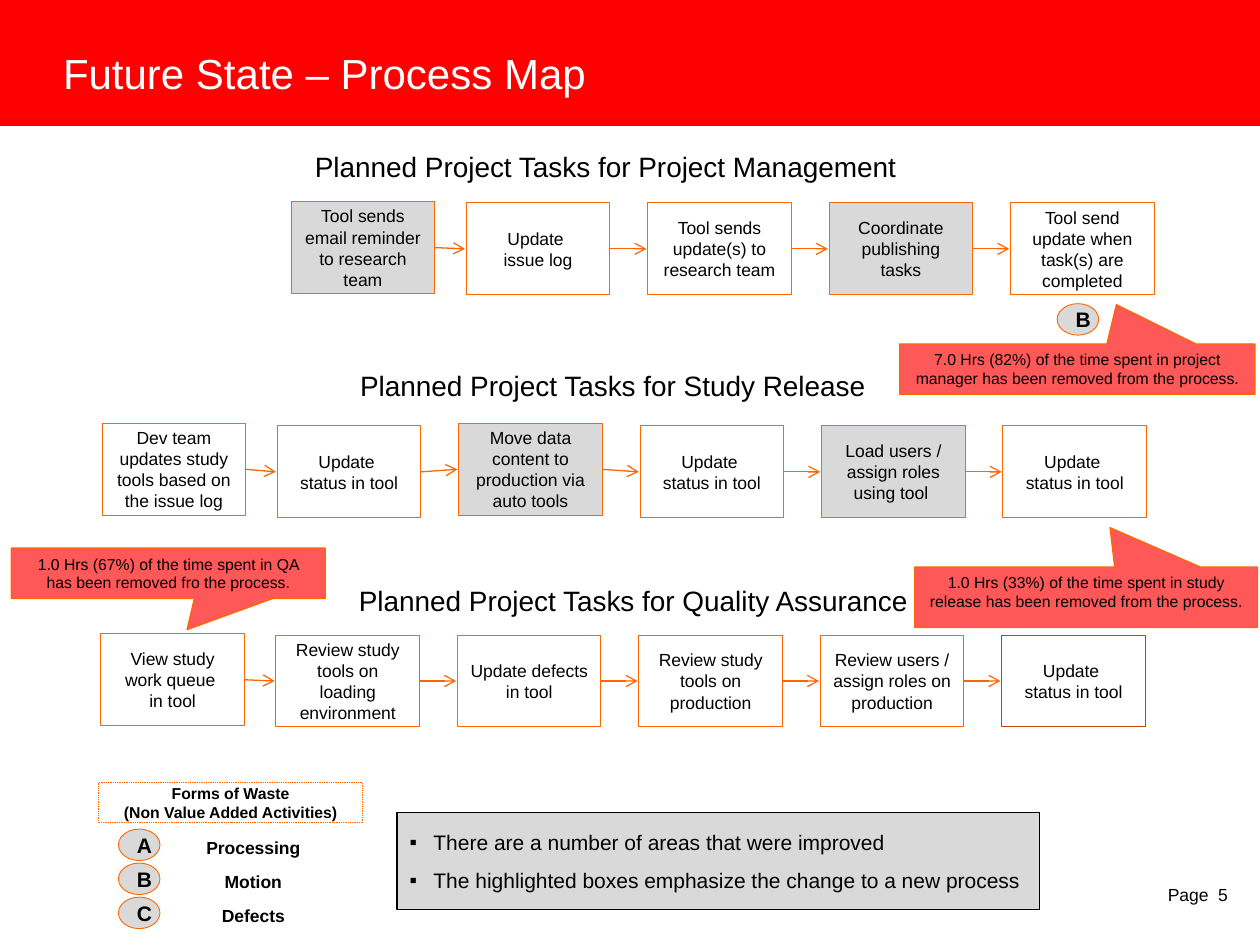
from lxml.etree import SubElement
from pptx import Presentation
from pptx.dml.color import RGBColor
from pptx.enum.dml import MSO_LINE
from pptx.enum.shapes import MSO_CONNECTOR, MSO_SHAPE
from pptx.enum.text import MSO_ANCHOR, MSO_AUTO_SIZE, PP_ALIGN
from pptx.oxml.ns import qn
from pptx.util import Inches, Pt

RED = RGBColor(0xFF, 0x00, 0x00)
SALMON = RGBColor(0xFF, 0x58, 0x58)
ORANGE = RGBColor(0xFF, 0x66, 0x00)
BROWN = RGBColor(0xBC, 0x49, 0x00)
GRAY = RGBColor(0xD9, 0xD9, 0xD9)
BLACK = RGBColor(0x00, 0x00, 0x00)
WHITE = RGBColor(0xFF, 0xFF, 0xFF)

BOX_W, BOX_H = 1.14, 0.73
FIRST_STEP, STEP = 1.39, 1.44
TIP_GAP = 0.01

# Heading, its position, left and top of the row, lift of raised boxes,
# raised columns, highlighted columns, colour of the last edge, tasks.
# "\n" starts a paragraph, "\v" breaks a line.
ROWS = [
    ("Planned Project Tasks for Project Management", (2.4, 1.14, 4.84, 0.37),
     2.31, 1.61, 0.01, {0}, {0, 3}, ORANGE,
     ["Tool sends email reminder to research team",
      "Update \nissue log",
      "Tool sends update(s) to research team",
      "Coordinate publishing tasks",
      "Tool send update when task(s) are completed"]),
    ("Planned Project Tasks for Study Release", (2.76, 2.88, 4.24, 0.37),
     0.81, 3.38, 0.02, {0, 2}, {2, 4}, ORANGE,
     ["Dev team updates study tools based on the issue log",
      "Update \nstatus in tool",
      "Move data content to production via auto tools",
      "Update \vstatus in tool",
      "Load users / assign roles using tool ",
      "Update \vstatus in tool"]),
    ("Planned Project Tasks for Quality Assurance", (2.75, 4.58, 4.6, 0.37),
     0.8, 5.04, 0.01, {0}, set(), BROWN,
     ["View study work queue \vin tool",
      "Review study tools on loading environment",
      "Update defects in tool",
      "Review study tools on production",
      "Review users / assign roles on production",
      "Update \vstatus in tool"]),
]

CALLOUTS = [
    ((7.14, 2.73, 2.82, 0.4), (0.11, -1.28),
     "7.0 Hrs (82%) of the time spent in project manager has been removed from the process."),
    ((7.26, 4.5, 2.72, 0.48), (0.07, -1.15),
     "1.0 Hrs (33%) of the time spent in study release has been removed from the process."),
    ((0.09, 4.35, 2.49, 0.4), (0.06, 1.12),
     "1.0 Hrs (67%) of the time spent in QA has been removed fro the process."),
]

WASTES = [("A", "Processing"), ("B", "Motion"), ("C", "Defects")]


def write(shape, text, size=10, bold=False, color=BLACK, align=PP_ALIGN.CENTER,
          anchor=MSO_ANCHOR.MIDDLE, wrap=True, before=0, after=0, inset=(0.1, 0.05)):
    tf = shape.text_frame
    tf.text = text
    tf.auto_size = MSO_AUTO_SIZE.NONE
    tf.word_wrap, tf.vertical_anchor = wrap, anchor
    tf.margin_left = tf.margin_right = Inches(inset[0])
    tf.margin_top = tf.margin_bottom = Inches(inset[1])
    for p in tf.paragraphs:
        p.alignment = align
        p.space_before, p.space_after = Pt(before), Pt(after)
        for r in p.runs:
            r.font.name, r.font.size, r.font.bold = "Arial", Pt(size), bold
            r.font.color.rgb = color
        for br in p._p.findall(qn("a:br")):
            SubElement(br, qn("a:rPr"), sz=str(size * 100))


def place(shape, at):
    shape.left, shape.top, shape.width, shape.height = map(Inches, at)


def paint(shape, fill=None, edge=None, weight=0.5):
    if fill is None:
        shape.fill.background()
    else:
        shape.fill.solid()
        shape.fill.fore_color.rgb = fill
    if edge is None:
        shape.line.fill.background()
    else:
        shape.line.color.rgb = edge
        shape.line.width = Pt(weight)


def add_block(s, kind, at, **look):
    sp = s.shapes.add_shape(kind, *map(Inches, at))
    sp.shadow.inherit = False
    paint(sp, **look)
    return sp


def add_label(s, at, text, **fmt):
    write(s.shapes.add_textbox(*map(Inches, at)), text, **fmt)


def add_arrow(s, x1, y1, x2, y2):
    c = s.shapes.add_connector(MSO_CONNECTOR.STRAIGHT, *map(Inches, (x1, y1, x2, y2)))
    c.line.color.rgb = ORANGE
    c.line.width = Pt(0.75)
    SubElement(c.line._get_or_add_ln(), qn("a:tailEnd"), type="arrow")
    SubElement(c._element.spPr, qn("a:effectLst"))


def add_process_row(s, heading, heading_at, left, top, lift, raised, marked, last_edge, tasks):
    add_label(s, heading_at, heading, size=16, align=PP_ALIGN.LEFT,
              anchor=MSO_ANCHOR.TOP, wrap=False)
    xs = [left] + [left + FIRST_STEP + STEP * i for i in range(len(tasks) - 1)]
    ys = [top - lift * (i in raised) for i in range(len(tasks))]
    for i, (x, y, task) in enumerate(zip(xs, ys, tasks)):
        is_last = i == len(tasks) - 1
        box = add_block(s, MSO_SHAPE.RECTANGLE, (x, y, BOX_W, BOX_H),
                        fill=GRAY if i in marked else None,
                        edge=last_edge if is_last else ORANGE)
        write(box, task)
        if not is_last:
            add_arrow(s, x + BOX_W, y + BOX_H / 2, xs[i + 1] - TIP_GAP, ys[i + 1] + BOX_H / 2)


def add_badge(s, x, y, letter):
    badge = add_block(s, MSO_SHAPE.OVAL, (x, y, 0.33, 0.25), fill=GRAY, edge=ORANGE)
    write(badge, letter, size=12, bold=True)


def add_callout(s, at, tip, text):
    sp = add_block(s, MSO_SHAPE.RECTANGULAR_CALLOUT, at, fill=SALMON, edge=ORANGE, weight=0.75)
    sp.adjustments[0], sp.adjustments[1] = tip
    write(sp, text, size=9, anchor=MSO_ANCHOR.TOP)


def add_waste_legend(s):
    title = add_block(s, MSO_SHAPE.RECTANGLE, (0.78, 6.21, 2.1, 0.32), edge=ORANGE)
    title.line.dash_style = MSO_LINE.ROUND_DOT
    write(title, "Forms of Waste\n(Non Value Added Activities)", size=9, bold=True)
    for i, (letter, name) in enumerate(WASTES):
        y = 6.58 + 0.27 * i
        add_badge(s, 0.94, y, letter)
        add_label(s, (1.44, y + 0.03, 1.14, 0.23), name, bold=True)


def fill_title(s):
    band = add_block(s, MSO_SHAPE.RECTANGLE, (0, 0, 10, 1), fill=RED)
    s.shapes._spTree.insert(2, band._element)  # behind the title
    place(s.shapes.title, (0.5, 0.38, 8.3, 0.4))
    write(s.shapes.title, "Future State – Process Map", size=24, color=WHITE,
          align=PP_ALIGN.LEFT, anchor=MSO_ANCHOR.BOTTOM, inset=(0, 0))


def fill_summary(body):
    place(body, (3.15, 6.45, 5.1, 0.77))
    paint(body, fill=GRAY, edge=BLACK, weight=0.75)
    write(body, "There are a number of areas that were improved\n"
                "The highlighted boxes emphasize the change to a new process",
          size=12, align=PP_ALIGN.LEFT, after=7.5)
    for p in body.text_frame.paragraphs:
        pPr = p._p.get_or_add_pPr()
        pPr.set("marL", str(Inches(0.19)))
        pPr.set("indent", str(-Inches(0.19)))
        SubElement(pPr, qn("a:buChar"), char="▪")


def main():
    prs = Presentation()
    prs.slide_width, prs.slide_height = Inches(10), Inches(7.5)
    s = prs.slides.add_slide(prs.slide_layouts[1])
    fill_title(s)
    fill_summary(s.placeholders[1])
    add_label(s, (9.17, 6.97, 0.83, 0.27), "Page  5", align=PP_ALIGN.LEFT,
              anchor=MSO_ANCHOR.TOP, before=6.2)
    for row in ROWS:
        add_process_row(s, *row)
    add_waste_legend(s)
    add_badge(s, 8.39, 2.41, "B")
    for callout in CALLOUTS:
        add_callout(s, *callout)
    prs.save("out.pptx")


if __name__ == "__main__":
    main()
